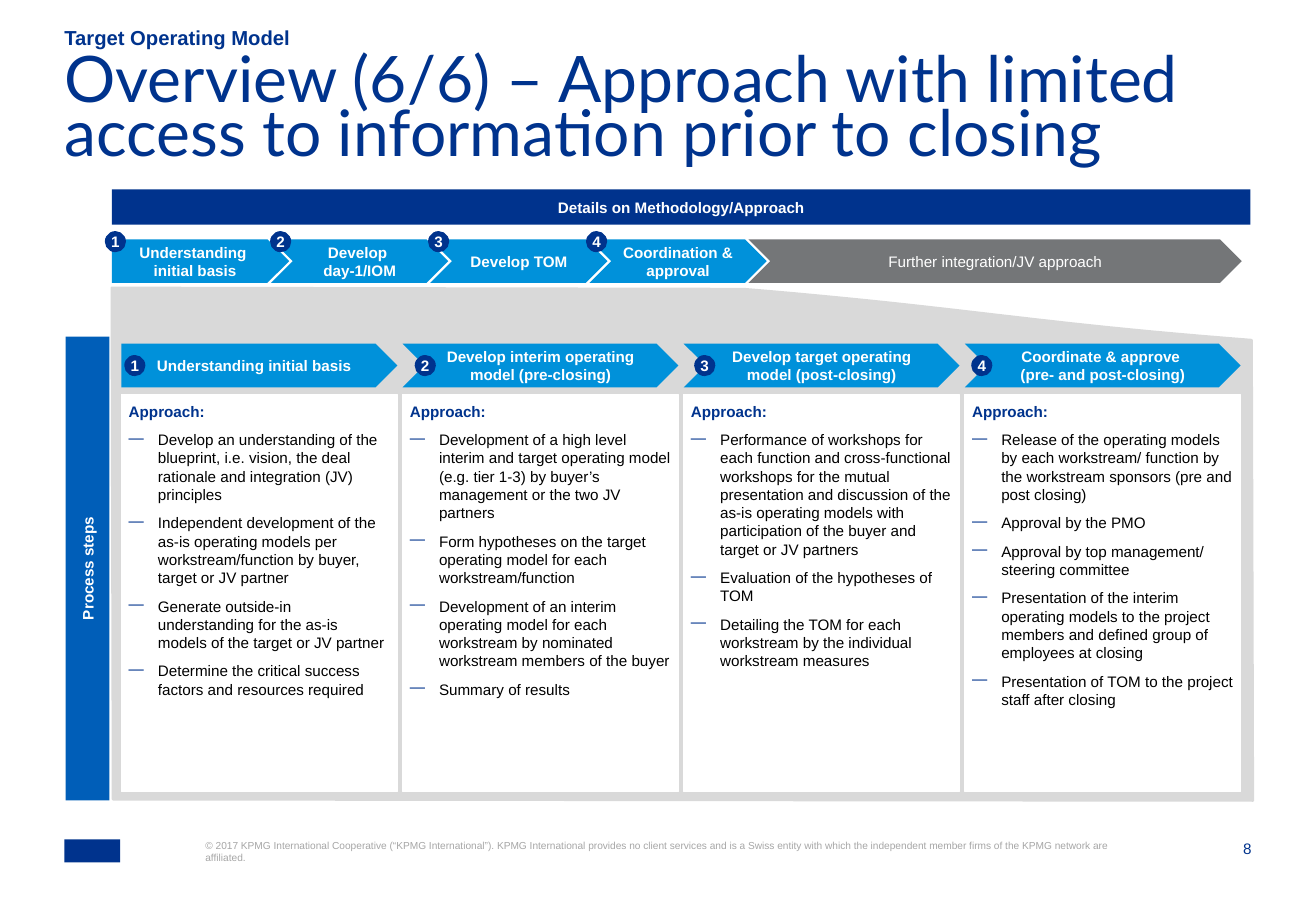
from copy import deepcopy

from lxml.etree import SubElement
from pptx import Presentation
from pptx.dml.color import RGBColor
from pptx.enum.shapes import MSO_SHAPE as SHAPE
from pptx.enum.text import MSO_ANCHOR as ANCHOR, PP_ALIGN as ALIGN
from pptx.oxml.ns import qn
from pptx.util import Inches, Pt

NAVY, BLUE, MID_BLUE = "00338D", "0091DA", "005EB8"
GREY, PALE, WHITE, BLACK = "747678", "D9D9D9", "FFFFFF", "000000"

prs = Presentation()
prs.slide_width, prs.slide_height = Inches(10.83), Inches(7.5)
slide = prs.slides.add_slide(prs.slide_layouts[6])
shapes = slide.shapes
rgb = RGBColor.from_string


def write(holder, text, size=9, color=WHITE, bold=False, font="Arial", align=ALIGN.LEFT,
          anchor=ANCHOR.TOP, inset=0, wrap=True, spacing=None, after=0, bullet=None, more=False):
    frame = holder.text_frame
    frame.word_wrap, frame.vertical_anchor = wrap, anchor
    frame.margin_left = frame.margin_right = Inches(inset)
    frame.margin_top = frame.margin_bottom = Inches(inset)
    para = frame.add_paragraph() if more else frame.paragraphs[0]
    para.text = text
    para.alignment, para.space_after = align, Pt(after)
    if spacing:
        para.line_spacing = spacing
    if bullet:
        props = para._p.get_or_add_pPr()
        props.set("marL", str(Inches(0.24)))
        props.set("indent", str(-Inches(0.24)))
        SubElement(SubElement(props, qn("a:buClr")), qn("a:srgbClr")).set("val", NAVY)
        SubElement(props, qn("a:buChar")).set("char", bullet)
    for run in para.runs:
        run.font.size, run.font.bold, run.font.name = Pt(size), bold, font
        run.font.color.rgb = rgb(color)
    for line_break in para._p.findall(qn("a:br")):
        line_break.append(deepcopy(para.runs[0]._r.rPr))


def block(kind, left, top, width, height, fill, line=None, weight=0.75):
    shape = shapes.add_shape(kind, Inches(left), Inches(top), Inches(width), Inches(height))
    shape.shadow.inherit = False
    shape.fill.solid()
    shape.fill.fore_color.rgb = rgb(fill)
    if line:
        shape.line.color.rgb = rgb(line)
        shape.line.width = Pt(weight)
    else:
        shape.line.fill.background()
    return shape


centred = dict(align=ALIGN.CENTER, anchor=ANCHOR.MIDDLE, inset=0.04)

start, pull_1, pull_2, end = (6.12, 2.38), (7.94, 2.53), (8.48, 2.66), (10.3, 2.8)
curve = []
for step in range(1, 25):
    t = step / 24
    weights = ((1 - t) ** 3, 3 * t * (1 - t) ** 2, 3 * t * t * (1 - t), t ** 3)
    curve.append(tuple(
        Inches(sum(w * point[axis] for w, point in zip(weights, (start, pull_1, pull_2, end))))
        for axis in (0, 1)))
outline = shapes.build_freeform(Inches(0.92), Inches(2.37))
outline.add_line_segments(
    [(Inches(6.12), Inches(2.38)), *curve, (Inches(10.31), Inches(6.59)), (Inches(0.93), Inches(6.58))])
backdrop = outline.convert_to_shape()
backdrop.shadow.inherit = False
backdrop.fill.solid()
backdrop.fill.fore_color.rgb = rgb(PALE)
backdrop.line.color.rgb = rgb(PALE)
backdrop.line.width = Pt(1.5)

block(SHAPE.RECTANGLE, 0.53, 6.91, 0.46, 0.19, NAVY)

COPYRIGHT = ("© 2017 KPMG International Cooperative (“KPMG International”). KPMG International provides "
             "no client services and is a Swiss entity with which the independent member firms of the "
             "KPMG network are affiliated.")
TITLE = "Overview (6/6) – Approach with limited access to information prior to closing"
for left, top, width, height, text, style in [
    (0.53, 0.22, 9.4, 0.19, "Target Operating Model",
     dict(size=12, color=NAVY, bold=True, anchor=ANCHOR.BOTTOM)),
    (0.53, 0.49, 9.76, 0.79, TITLE, dict(size=38, color=NAVY, font="Lato", spacing=0.7)),
    (1.69, 6.91, 7.49, 0.41, COPYRIGHT, dict(size=6, color="A6A6A6")),
    (9.87, 6.91, 0.43, 0.16, "8", dict(color=NAVY, align=ALIGN.RIGHT)),
]:
    write(shapes.add_textbox(Inches(left), Inches(top), Inches(width), Inches(height)), text, **style)

methodology = block(SHAPE.RECTANGLE, 0.92, 1.56, 9.37, 0.29, NAVY)
write(methodology, "Details on Methodology/Approach", bold=True, **centred)
process = block(SHAPE.RECTANGLE, -1.19, 4.5, 3.82, 0.36, MID_BLUE)
process.rotation = 270
write(process, "Process steps", bold=True, **centred)

phases = ["Understanding \ninitial basis", "Develop \nday-1/IOM", "Develop TOM", "Coordination & approval"]
for i, phase in enumerate(phases):
    arrow = block(SHAPE.CHEVRON if i else SHAPE.PENTAGON, 0.92 + 1.31 * i, 1.97, 1.46, 0.36, BLUE)
    write(arrow, phase, bold=True, **centred)
further = block(SHAPE.CHEVRON, 6.16, 1.97, 4.06, 0.36, GREY)
write(further, "Further integration/JV approach", **centred)

steps = [
    ("Understanding initial basis", [
        "Develop an understanding of the blueprint, i.e. vision, the deal rationale and integration (JV) principles",
        "Independent development of the as-is operating models per workstream/function by buyer, "
        "target or JV partner",
        "Generate outside-in understanding for the as-is models of the target or JV partner",
        "Determine the critical success factors and resources required"]),
    ("Develop interim operating model (pre-closing)", [
        "Development of a high level interim and target operating model (e.g. tier 1-3) by buyer’s "
        "management or the two JV partners",
        "Form hypotheses on the target operating model for each workstream/function",
        "Development of an interim operating model for each workstream by nominated workstream "
        "members of the buyer",
        "Summary of results"]),
    ("Develop target operating model (post-closing)", [
        "Performance of workshops for each function and cross-functional workshops for the mutual "
        "presentation and discussion of the as-is operating models with participation of the buyer "
        "and target or JV partners",
        "Evaluation of the hypotheses of TOM",
        "Detailing the TOM for each workstream by the individual workstream measures"]),
    ("Coordinate & approve \n(pre- and post-closing)", [
        "Release of the operating models by each workstream/ function by the workstream sponsors "
        "(pre and post closing)",
        "Approval by the PMO",
        "Approval by top management/ steering committee",
        "Presentation of the interim operating models to the project members and defined group of "
        "employees at closing",
        "Presentation of TOM to the project staff after closing"]),
]
for i, (heading, points) in enumerate(steps):
    left = 1 + (7.94 - 1) / 3 * i
    arrow = block(SHAPE.CHEVRON if i else SHAPE.PENTAGON, left, 2.83, 2.27, 0.36, BLUE)
    write(arrow, heading, bold=True, **centred)
    panel = block(SHAPE.RECTANGLE, left, 3.25, 2.27, 3.27, WHITE, line=WHITE)
    write(panel, "Approach:", color=NAVY, bold=True, inset=0.06, after=6)
    for point in points:
        write(panel, point, color=BLACK, inset=0.06, after=6, bullet="—", more=True)

for top, lefts in [(1.91, (0.87, 2.23, 3.53, 4.83)), (2.93, (1.03, 3.42, 5.72, 8))]:
    for number, left in enumerate(lefts, 1):
        badge = block(SHAPE.OVAL, left, top, 0.16, 0.16, NAVY, line=NAVY, weight=1)
        write(badge, str(number), bold=True, align=ALIGN.CENTER, anchor=ANCHOR.MIDDLE, wrap=False)

prs.save("out.pptx")
